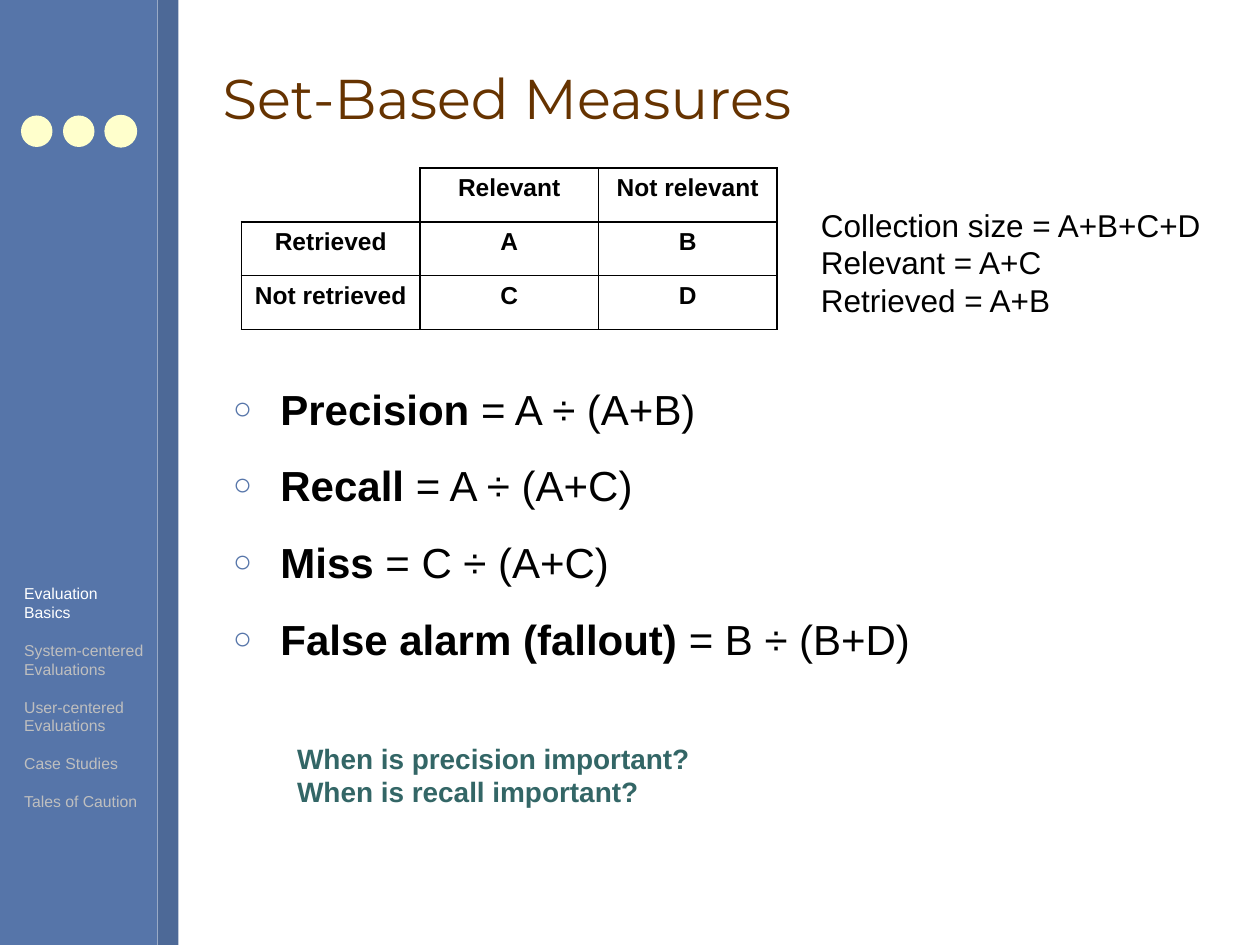
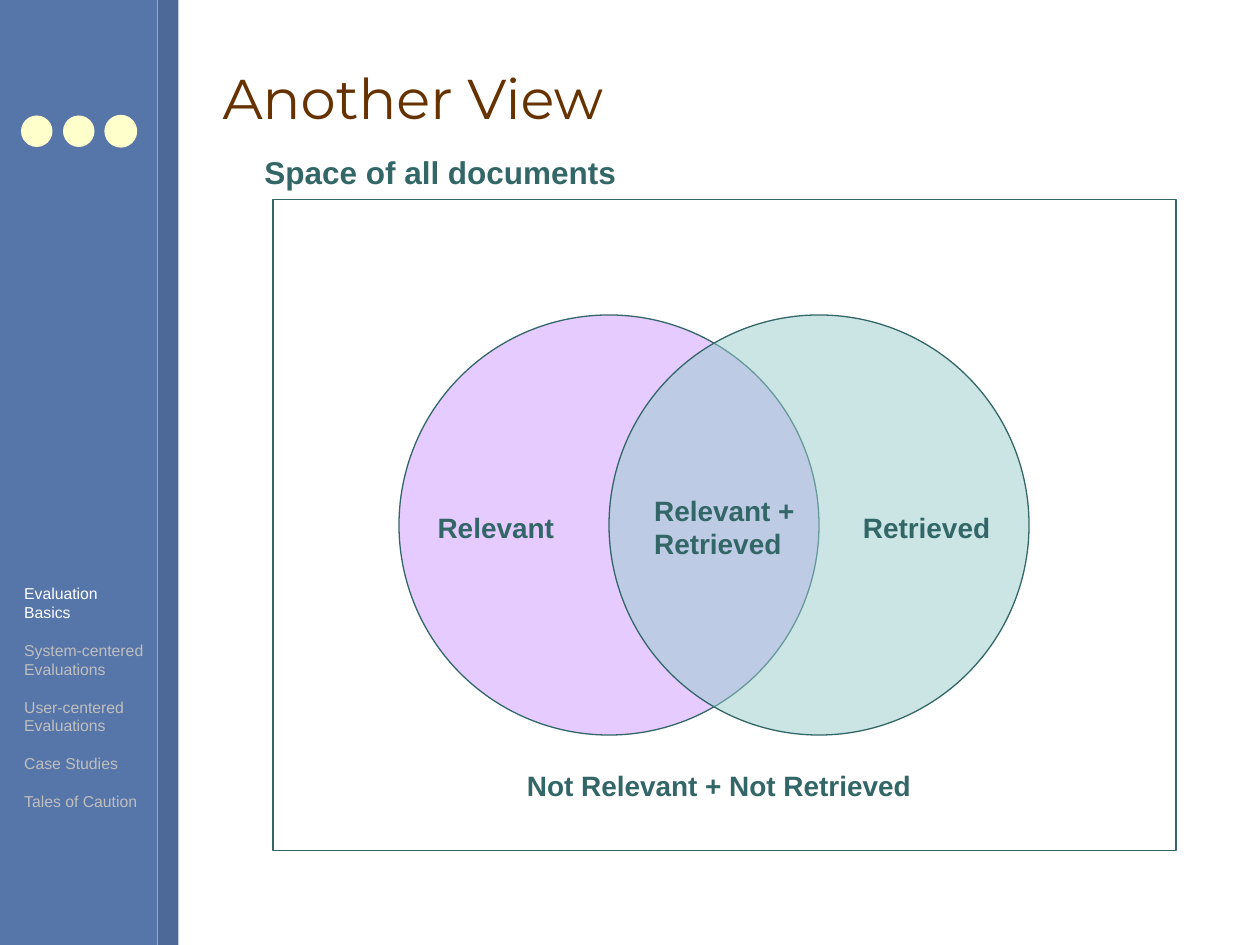
import copy
import pptx
import pptx.util
import pptx.dml.color
import pptx.enum.shapes
import pptx.enum.text
import pptx.oxml
import pptx.oxml.ns

PX = 9525
BLUE, NAVY, CREAM = "5675A9", "4D6997", "FFFFCC"
TEAL, BROWN, BLACK = "336666", "663300", "000000"
WHITE, GREY = "FFFFFF", "BFBFBF"
RECT = pptx.enum.shapes.MSO_SHAPE.RECTANGLE
OVAL = pptx.enum.shapes.MSO_SHAPE.OVAL
ALIGN = pptx.enum.text.PP_ALIGN
FIT = pptx.enum.text.MSO_AUTO_SIZE
Pt = pptx.util.Pt
qn = pptx.oxml.ns.qn
NS = pptx.oxml.ns.nsdecls("a")


def hue(code):
    return pptx.dml.color.RGBColor.from_string(code)


def write(frame, text, size=16, ink=TEAL, font="Arial", bold=False,
          align=ALIGN.LEFT, before=0, after=0, wrap=False, fit=FIT.NONE):
    """Fill a text frame: \\n parts paragraphs, \\v breaks a line, ** marks bold."""
    frame.word_wrap = wrap
    frame.auto_size = fit
    for n, line in enumerate(text.split("\n")):
        para = frame.add_paragraph() if n else frame.paragraphs[0]
        para.alignment = align
        para.space_before = Pt(before if n else 0)
        para.space_after = Pt(after)
        for i, part in enumerate(line.split("**")):
            for j, bit in enumerate(part.split("\v")):
                if not bit:
                    continue
                if j:
                    para.add_line_break()
                run = para.add_run()
                run.text = bit
                run.font.size = Pt(size)
                run.font.name = font
                run.font.bold = bold or i % 2 == 1
                run.font.color.rgb = hue(ink)
        for gap in para._p.findall(qn("a:br")):
            gap.append(copy.deepcopy(para.runs[0]._r.rPr))


deck = pptx.Presentation()
deck.slide_width, deck.slide_height = 960 * PX, 720 * PX

# kind, (left, top, width, height), fill, line, opacity in percent
bands = [
    (RECT, (0, 0, 120, 720), BLUE, None, 100),
    (RECT, (120, 0, 16, 720), NAVY, None, 100),
]
dots = [(OVAL, (16 + 32 * n, 88, 24, 24), CREAM, CREAM if n == 2 else None, 100)
        for n in range(3)]
venn = [
    (RECT, (208, 152, 688, 496), None, TEAL, 100),
    (OVAL, (304, 240, 320, 320), "CC99FF", TEAL, 50),
    (OVAL, (464, 240, 320, 320), "99CCCC", TEAL, 50),
]

# place, text, format
sums = [
    ((616, 152, 310, 96),
     "Collection size = A+B+C+D\nRelevant = A+C\nRetrieved = A+B",
     dict(size=18, ink=BLACK)),
    ((217, 560, 318, 61),
     "When is precision important?\nWhen is recall important?", dict(bold=True)),
]
tags = [
    ((324, 384, 108, 36), "Relevant", dict(bold=True)),
    ((648, 384, 116, 36), "Retrieved", dict(bold=True)),
    ((489, 371, 126, 61), "Relevant +\nRetrieved", dict(bold=True)),
    ((392, 581, 312, 36), "Not Relevant + Not Retrieved", dict(bold=True)),
    ((192, 112, 287, 38), "Space of all documents", dict(size=18, bold=True)),
]
topics = ("Evaluation\vBasics\nSystem-centered\vEvaluations\n"
          "User-centered\vEvaluations\nCase Studies\nTales of Caution")
menu = ((9, 440, 112, 183), topics, dict(size=9, ink=GREY, before=10.8))

pages = [
    ("Set-Based Measures", 1, [], sums),
    ("Another View", 5, venn, tags),
]

for title, layout, parts, notes in pages:
    slide = deck.slides.add_slide(deck.slide_layouts[layout])
    head = slide.shapes.title
    head.left, head.top, head.width, head.height = [
        v * PX for v in (160, 20, 768, 108)]
    write(head.text_frame, title, size=32, ink=BROWN, font="Montserrat", wrap=True)

    for kind, place, fill, line, alpha in bands + dots + parts:
        shape = slide.shapes.add_shape(kind, *[v * PX for v in place])
        shape.shadow.inherit = False
        if fill:
            shape.fill.solid()
            shape.fill.fore_color.rgb = hue(fill)
        else:
            shape.fill.background()
        if alpha < 100:
            tint = shape._element.spPr.find(".//" + qn("a:srgbClr"))
            tint.append(pptx.oxml.parse_xml(f'<a:alpha {NS} val="{alpha * 1000}"/>'))
        if line:
            shape.line.color.rgb = hue(line)
            shape.line.width = Pt(0.75)
        else:
            shape.line.fill.background()

    for place, text, form in notes + [menu]:
        box = slide.shapes.add_textbox(*[v * PX for v in place])
        write(box.text_frame, text, fit=FIT.SHAPE_TO_FIT_TEXT, **form)
    # The last box is the menu; its first topic is the current one
    for run in box.text_frame.paragraphs[0].runs:
        run.font.color.rgb = hue(WHITE)

# Formulas
slide = deck.slides[0]
body = slide.placeholders[1]
body.left, body.top, body.width, body.height = [v * PX for v in (168, 287, 760, 377)]
write(body.text_frame,
      "**Precision** = A ÷ (A+B)\n**Recall** = A ÷ (A+C)\n"
      "**Miss** = C ÷ (A+C)\n**False alarm (fallout)** = B ÷ (B+D)",
      size=24, ink=BLACK, before=7.5, after=7.5, wrap=True)
for para in body.text_frame.paragraphs:
    props = para._p.get_or_add_pPr()
    props.set("marL", str(36 * PX))
    props.set("indent", str(-36 * PX))
    for xml in (f'<a:buClr {NS}><a:srgbClr val="{BLUE}"/></a:buClr>',
                f'<a:buSzPct {NS} val="75000"/>',
                f'<a:buChar {NS} char="○"/>'):
        props.append(pptx.oxml.parse_xml(xml))

# Contingency table
rows = [
    ("", "Relevant", "Not relevant"),
    ("Retrieved", "A", "B"),
    ("Not retrieved", "C", "D"),
]
grid = slide.shapes.add_table(3, 3, *[v * PX for v in (184, 128, 408, 123)]).table
grid.first_row = grid.horz_banding = False
rules = [1.08, 1.08, 0.45, 1.08]
for r, row in enumerate(rows):
    grid.rows[r].height = 41 * PX
    for c, text in enumerate(row):
        cell = grid.cell(r, c)
        props = cell._tc.get_or_add_tcPr()
        for side, n in (("L", c), ("R", c + 1), ("T", r), ("B", r + 1)):
            bare = not text and side in "LT"
            ink = ("<a:noFill/>" if bare else
                   f'<a:solidFill><a:srgbClr val="{BLACK}"/></a:solidFill>')
            props.append(pptx.oxml.parse_xml(
                f'<a:ln{side} {NS} w="{Pt(rules[n])}">{ink}</a:ln{side}>'))
        cell.fill.background()
        if text:
            write(cell.text_frame, text, size=14, ink=BLACK, bold=True,
                  align=ALIGN.CENTER, wrap=True)

deck.save("out.pptx")
